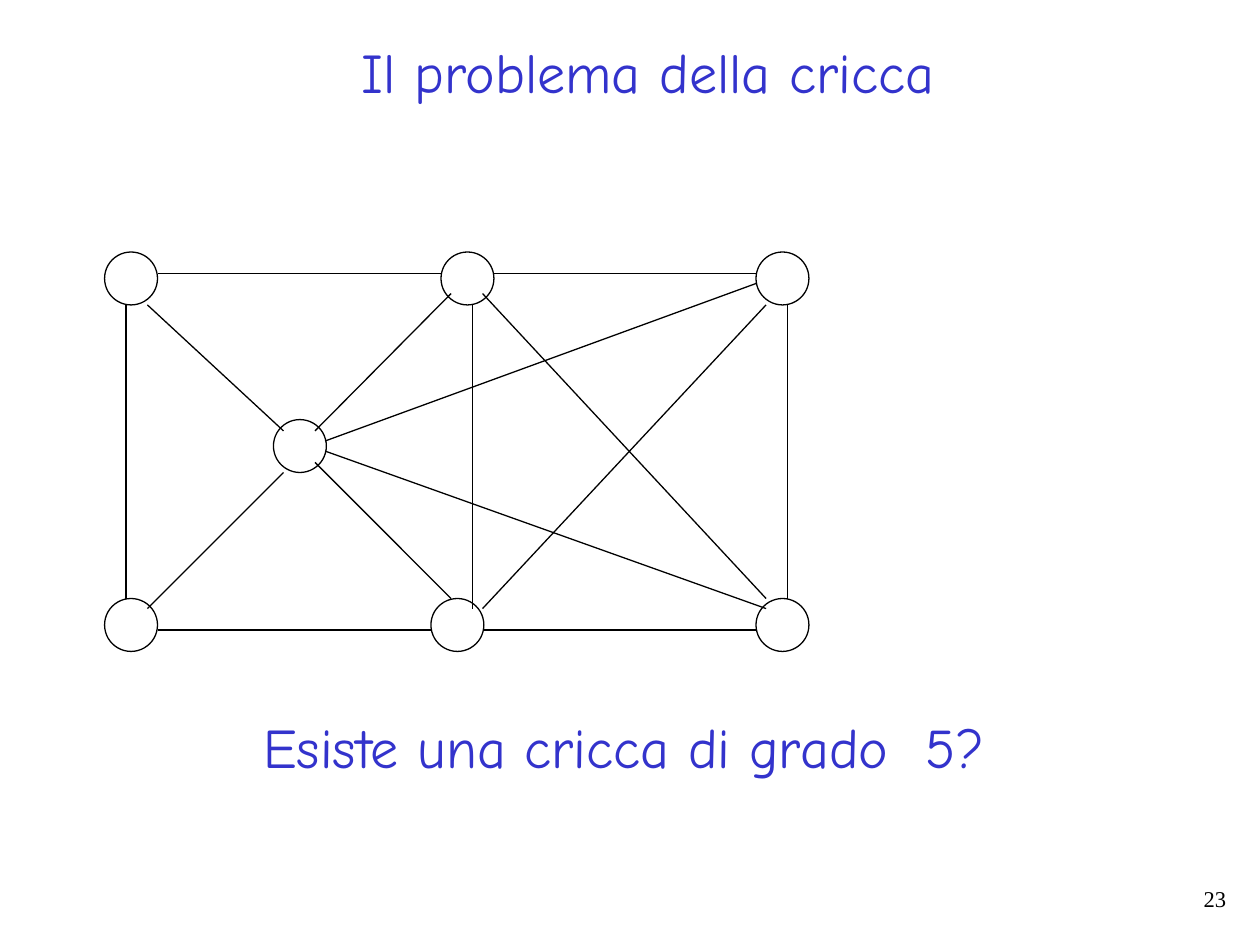
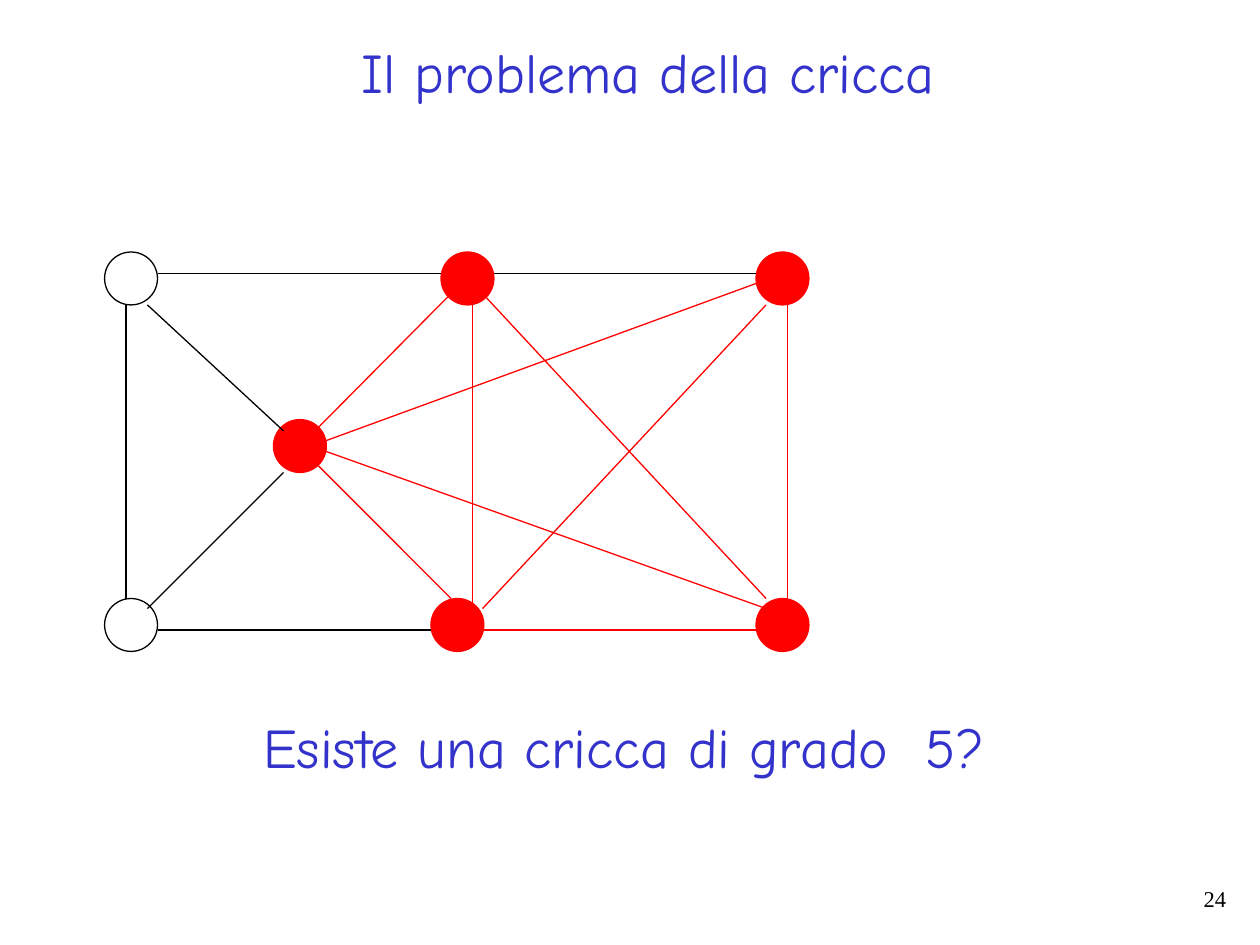
import pptx
import pptx.dml.color
import pptx.enum.shapes
import pptx.enum.text
import pptx.oxml
import pptx.oxml.ns
import pptx.util

Inches = pptx.util.Inches
Pt = pptx.util.Pt

COLORS = {"ink": "000000", "blue": "3333CC", "red": "FF0000"}
SIZE = 0.42
LEFT, RIGHT = 0.83, 6
TOP, LOW = 2, 4.75

OUTER = [(LEFT, TOP), (LEFT, LOW)]
CLIQUE = [(3.5, TOP), (RIGHT, TOP), (2.17, 3.33), (3.42, LOW), (RIGHT, LOW)]

PLAIN = [
    (1.17, 2.42, 2.25, 3.42),
    (1, 2.42, 1, 4.75),
    (1.25, 5, 3.42, 5),
    (3.92, 2.17, 6, 2.17),
    (1.25, 2.17, 3.5, 2.17),
    (1.17, 4.83, 2.25, 3.75),
]
LINKS = [
    (2.5, 3.67, 3.58, 4.75),
    (3.75, 2.42, 3.75, 4.83),
    (3.83, 4.83, 6.08, 2.42),
    (6.25, 2.42, 6.25, 4.75),
    (3.83, 2.33, 6.08, 4.75),
    (3.83, 5, 6, 5),
    (2.5, 3.42, 3.58, 2.33),
    (2.58, 3.58, 6.08, 4.83),
    (2.58, 3.5, 6, 2.25),
]


def color(name):
    return pptx.dml.color.RGBColor.from_string(COLORS[name])


class Deck:
    font = "Comic Neue"
    digits = "Times New Roman"
    width = Pt(0.74)

    def __init__(self):
        self.prs = pptx.Presentation()
        self.prs.slide_width = Inches(10)
        self.prs.slide_height = Inches(7.5)

    def start(self):
        self.slide = self.prs.slides.add_slide(self.prs.slide_layouts[5])

    def style(self, shape, text, size, font, tone, wrap=False):
        frame = shape.text_frame
        frame.text = text
        frame.word_wrap = wrap
        frame.auto_size = pptx.enum.text.MSO_AUTO_SIZE.NONE
        frame.vertical_anchor = pptx.enum.text.MSO_ANCHOR.TOP
        par = frame.paragraphs[0]
        par.alignment = pptx.enum.text.PP_ALIGN.LEFT
        par.font.size = Pt(size)
        par.font.name = font
        par.font.color.rgb = color(tone)
        return par

    def title(self, text):
        shape = self.slide.shapes.title
        shape.left, shape.top = Inches(2.77), Inches(0.25)
        shape.width, shape.height = Inches(4.75), Inches(0.64)
        self.style(shape, text, 32, self.font, "blue")

    def box(self, left, top, width, height):
        return self.slide.shapes.add_textbox(
            Inches(left), Inches(top), Inches(width), Inches(height))

    def query(self, text):
        shape = self.box(1.99, 5.61, 5.95, 0.64)
        self.style(shape, text, 32, self.font, "blue")

    def number(self, value):
        shape = self.box(7.75, 7, 2.08, 0.33)
        par = self.style(shape, str(value), 12.9, self.digits, "ink", True)
        par.alignment = pptx.enum.text.PP_ALIGN.RIGHT
        par.line_spacing = 0.9

    def node(self, left, top, tone, filled):
        shape = self.slide.shapes.add_shape(
            pptx.enum.shapes.MSO_SHAPE.OVAL,
            Inches(left), Inches(top), Inches(SIZE), Inches(SIZE))
        shape.shadow.inherit = False
        if filled:
            shape.fill.solid()
            shape.fill.fore_color.rgb = color(tone)
        else:
            shape.fill.background()
        shape.line.color.rgb = color(tone)
        shape.line.width = self.width

    def edge(self, ends, tone):
        line = self.slide.shapes.add_connector(
            pptx.enum.shapes.MSO_CONNECTOR.STRAIGHT, *map(Inches, ends))
        line.line.color.rgb = color(tone)
        line.line.width = self.width
        line.element.spPr.append(pptx.oxml.parse_xml(
            "<a:effectLst %s/>" % pptx.oxml.ns.nsdecls("a")))

    def graph(self, tone, filled):
        for spot in OUTER:
            self.node(*spot, "ink", False)
        for spot in CLIQUE:
            self.node(*spot, tone, filled)
        for ends in PLAIN:
            self.edge(ends, "ink")
        for ends in LINKS:
            self.edge(ends, tone)


deck = Deck()
for page, tone, filled in [(23, "ink", False), (24, "red", True)]:
    deck.start()
    deck.title("Il problema della cricca")
    deck.graph(tone, filled)
    deck.query("Esiste una cricca di grado  5?")
    deck.number(page)
deck.prs.save("out.pptx")
